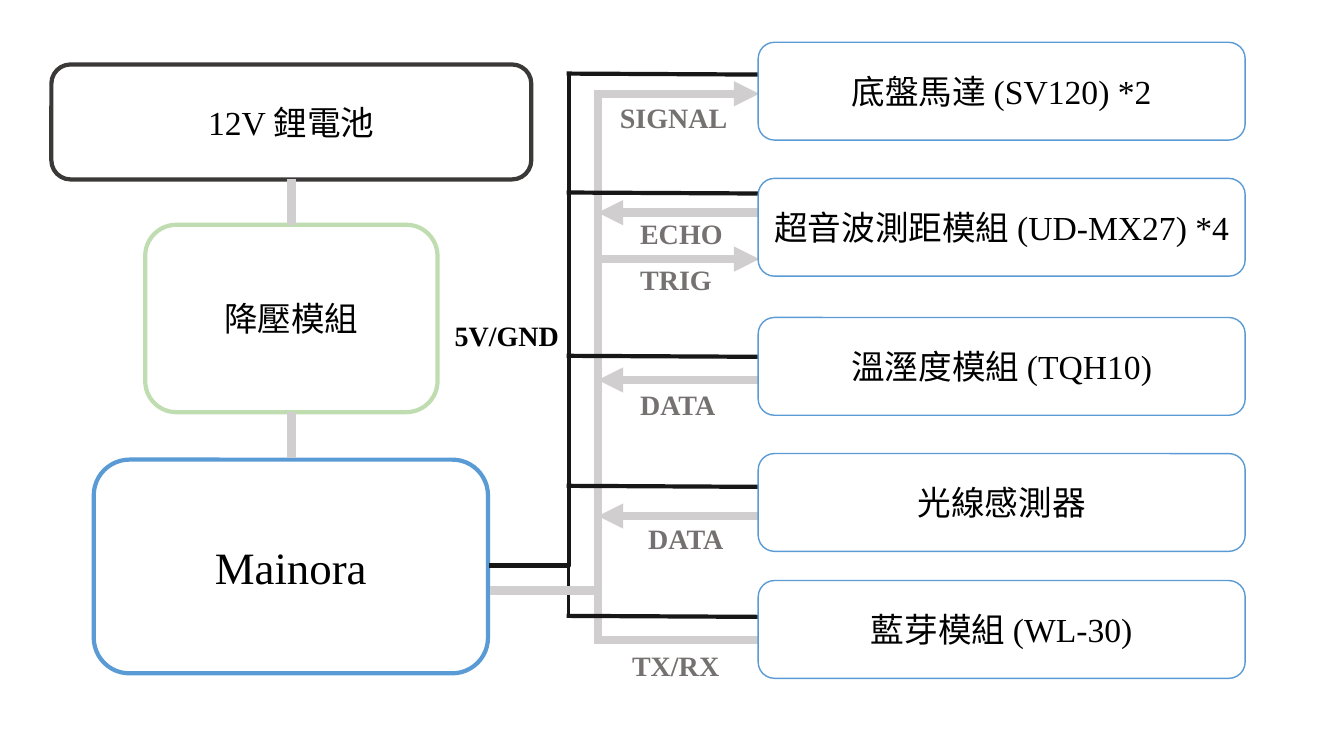
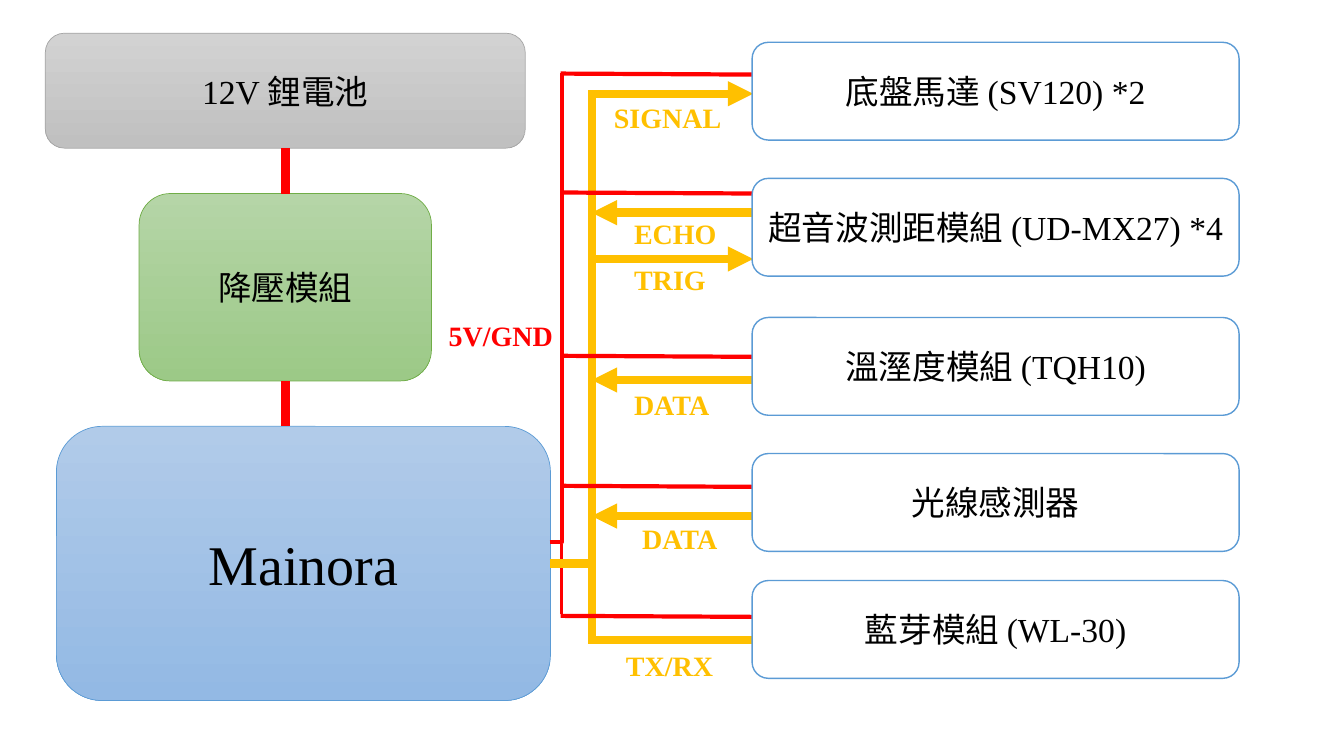
from dataclasses import dataclass

from pptx import Presentation
from pptx.dml.color import RGBColor as Rgb
from pptx.enum.shapes import MSO_CONNECTOR as Link, MSO_SHAPE as Form
from pptx.enum.text import MSO_ANCHOR as Anchor, MSO_AUTO_SIZE as Fit, PP_ALIGN as Align
from pptx.oxml.ns import qn
from pptx.oxml.xmlchemy import OxmlElement as Node
from pptx.util import Inches, Pt


@dataclass(frozen=True)
class Theme:
    """Colours, fonts and sizes that the slides share."""
    latin: str = "Times New Roman"
    asian: str = "Noto Sans CJK SC"
    ink: str = "000000"
    paper: str = "FFFFFF"
    blue: str = "5B9BD5"
    body: int = 24
    label: int = 20
    thin: float = 1
    tail: float = 2.25
    wire: float = 3
    bus: float = 6


@dataclass(frozen=True)
class Look:
    """Colours, sizes and places that set one slide apart."""
    power: str
    volts: str
    signal: str
    label: str
    link: str
    edges: tuple
    fills: tuple
    edge: float
    title: int
    column: tuple
    board: tuple
    panel: tuple
    trunk: float
    feeds: tuple


THEME = Theme()

PLAIN = Look(
    power="181717", volts="000000", signal="D0CECE", label="767171", link="D0CECE",
    edges=("3B3838", "C0DDB1", "5B9BD5"), fills=(None, None, None),
    edge=3, title=32, column=(0.51, 0.64), board=(0.42, 3.92, 3.91, 2.12),
    panel=(5.62, 0.42), trunk=0.02, feeds=((4.85, 5.61), (4.86, 5.86)))

VIVID = Look(
    power="FF0000", volts="FF0000", signal="FFC000", label="FFC000", link="FF0000",
    edges=("A5A5A5", "70AD47", "5B9BD5"),
    fills=(("D2D2D2", "C0C0C0"), ("B5D5A7", "9CC987"), ("B1CBE9", "93B9E4")),
    edge=0.5, title=40, column=(0.45, 0.33), board=(0.11, 3.9, 4.9, 2.72),
    panel=(5.56, 0.42), trunk=0.01, feeds=((5.45, 5.38), (5.45, 5.59)))

ROWS = (
    (0, "底盤馬達 (SV120) *2", 0.31,
     (("SIGNAL", "tail", 0.51, 0.43, 0.53, 1.3),)),
    (1.35, "超音波測距模組 (UD-MX27) *4", 0.14,
     (("ECHO", "head", 0.34, 0.63, 0.33, 1.03),
      ("TRIG", "tail", 0.8, 0.63, 0.79, 0.92))),
    (2.73, "溫溼度模組 (TQH10)", 0.38,
     (("DATA", "head", 0.62, 0.63, 0.65, 0.96),)),
    (4.08, "光線感測器", 0.32,
     (("DATA", "head", 0.62, 0.71, 0.62, 0.96),)),
    (5.34, "藍芽模組 (WL-30)", 0.35,
     (("TX/RX", None, 0.59, 0.55, 0.62, 1.08),)),
)


def write(frame, text, size, color, bold=False):
    """Add one run to the first paragraph and return the paragraph."""
    para = frame.paragraphs[0]
    run = para.add_run()
    run.text = text
    font = run.font
    font.name, font.size, font.bold = THEME.latin, Pt(size), bold
    font.color.rgb = Rgb.from_string(color)
    asian = Node("a:ea")
    asian.set("typeface", THEME.asian)
    font._element.find(qn("a:latin")).addnext(asian)
    return para


def block(slide, box, text, size, edge, width, fill=None):
    """Draw a rounded box with centred text; two fill colours blend downwards."""
    shape = slide.shapes.add_shape(Form.ROUNDED_RECTANGLE, *map(Inches, box))
    shape.shadow.inherit = False
    shape.line.color.rgb = Rgb.from_string(edge)
    shape.line.width = Pt(width)
    if fill is None:
        shape.fill.background()
    elif isinstance(fill, str):
        shape.fill.solid()
        shape.fill.fore_color.rgb = Rgb.from_string(fill)
    else:
        shape.fill.gradient()
        shape.fill.gradient_angle = 270
        for stop, color in zip(shape.fill.gradient_stops, fill):
            stop.color.rgb = Rgb.from_string(color)
    frame = shape.text_frame
    frame.word_wrap = True
    frame.vertical_anchor = Anchor.MIDDLE
    write(frame, text, size, THEME.ink).alignment = Align.CENTER


def label(slide, left, top, width, text, color):
    """Place a bold wire label."""
    box = slide.shapes.add_textbox(*map(Inches, (left, top, width, 0.44)))
    frame = box.text_frame
    frame.word_wrap = False
    frame.auto_size = Fit.SHAPE_TO_FIT_TEXT
    write(frame, text, THEME.label, color, True)


def wire(slide, start, end, color, width, arrow=None, bent=False):
    """Join two points, straight or with one corner, with an optional arrowhead."""
    kind = Link.ELBOW if bent else Link.STRAIGHT
    line = slide.shapes.add_connector(kind, *map(Inches, (*start, *end)))
    line.line.color.rgb = Rgb.from_string(color)
    line.line.width = Pt(width)
    props = line._element.spPr
    if bent:
        props.find(qn("a:prstGeom")).set("prst", "bentConnector2")
    if arrow:
        tip = Node(f"a:{arrow}End")
        tip.set("type", "triangle")
        props.find(qn("a:ln")).append(tip)
    props.append(Node("a:effectLst"))


def column(slide, look):
    """Stack battery, step-down module and board, joined by supply links."""
    left, top = look.column
    parts = (((0, 0, 4.76, 1.14), "12V 鋰電池", THEME.body),
             ((0.93, 1.59, 2.9, 1.86), "降壓模組", THEME.body),
             (look.board, "Mainora", look.title))
    for part, edge, fill in zip(parts, look.edges, look.fills):
        (x, y, wide, high), text, size = part
        block(slide, (left + x, top + y, wide, high), text, size,
              edge, look.edge, fill)
    for y in (1.14, 3.45):
        wire(slide, (left + 2.38, top + y), (left + 2.38, top + y + 0.45),
             look.link, THEME.bus)


def trunks(slide, look):
    """Run the power and signal trunks from the board along the modules."""
    left, top = look.panel
    power, signal = look.feeds
    rail, bus = left + look.trunk, left + 0.31
    wire(slide, power, (rail, top + 0.3), look.power, THEME.wire, bent=True)
    wire(slide, (rail, top + 4.98), (rail, top + 5.67), look.power, THEME.tail)
    wire(slide, signal, (bus, top + 0.47), look.signal, THEME.bus, bent=True)
    wire(slide, (bus, top + 5.1), (bus, top + 5.97), look.signal, THEME.bus)
    label(slide, left - 1.21, top + 2.69, 1.25, "5V/GND", look.volts)


def module(slide, look, row):
    """Draw one module with its power lead and signal wires."""
    left, top = look.panel
    down, name, lead, signals = row
    top += down
    wire(slide, (left, top + lead), (left + 1.9, top + lead + 0.01),
         look.power, THEME.wire)
    for text, arrow, y, x, drop, width in signals:
        wire(slide, (left + 0.31, top + y), (left + 1.91, top + y),
             look.signal, THEME.bus, arrow)
        label(slide, left + x, top + drop, width, text, look.label)
    block(slide, (left + 1.9, top, 4.83, 0.97), name, THEME.body,
          THEME.blue, THEME.thin, THEME.paper)


def diagram(deck, look):
    """Add one wiring slide in the given look."""
    slide = deck.slides.add_slide(deck.slide_layouts[6])
    column(slide, look)
    trunks(slide, look)
    for row in ROWS:
        module(slide, look, row)


def main():
    """Build and save the deck."""
    deck = Presentation()
    deck.slide_width, deck.slide_height = Inches(13.33), Inches(7.5)
    for look in (PLAIN, VIVID):
        diagram(deck, look)
    deck.save("out.pptx")


if __name__ == "__main__":
    main()
